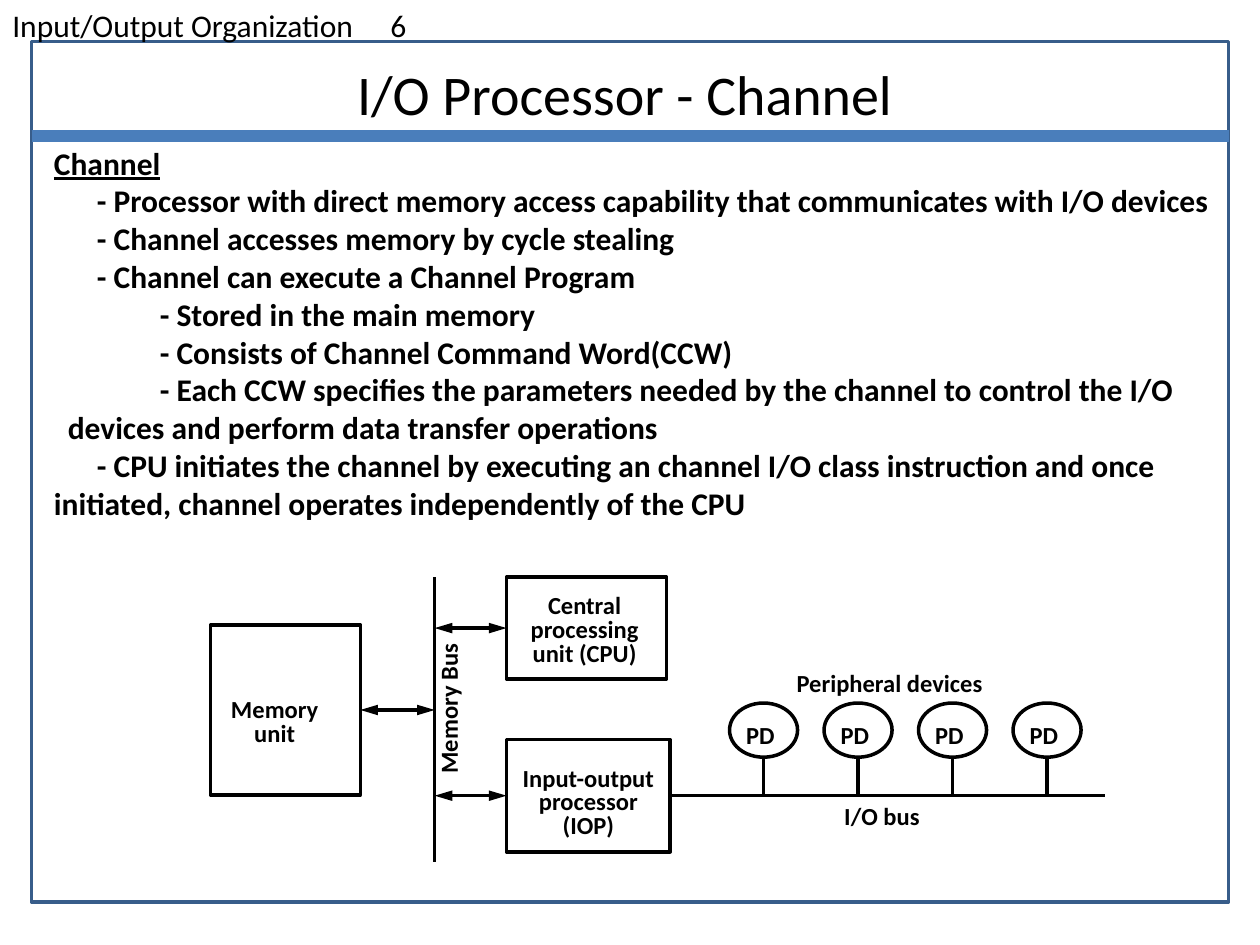
from typing import NamedTuple

from pptx import Presentation
from pptx.dml.color import RGBColor
from pptx.enum.shapes import MSO_CONNECTOR as Connector, MSO_SHAPE as Shape
from pptx.enum.text import MSO_ANCHOR as Anchor, MSO_AUTO_SIZE as AutoSize, PP_ALIGN as Align
from pptx.oxml.ns import qn
from pptx.util import Inches, Pt
from lxml.etree import SubElement

BLACK = RGBColor(0x00, 0x00, 0x00)
FRAME_BLUE = RGBColor(0x38, 0x5D, 0x8A)
RULE_BLUE = RGBColor(0x4A, 0x7E, 0xBB)
FONT = "Calibri"


class Unit(NamedTuple):
    left: float
    top: float
    width: float
    height: float
    lines: tuple[str, ...]
    top_inset: float
    right_inset: float


class Label(NamedTuple):
    left: float
    top: float
    width: float
    text: str
    rotation: int = 0


class Point(NamedTuple):
    text: str
    margin: float = 0
    indent: float = 0
    underline: bool = False


MEMORY = Unit(1.67, 4.96, 1.19, 1.35, ("Memory", "unit"), 0.21, 0.17)
CPU = Unit(4.02, 4.58, 1.27, 0.81, ("Central", "processing", "unit (CPU)"), 0.05, 0.03)
IOP = Unit(4.02, 5.87, 1.30, 0.89, ("Input-output", "processor", "(IOP)"), 0.13, 0)

LABELS = (
    Label(6.22, 5.25, 1.68, "Peripheral devices"),
    Label(6.60, 6.31, 0.80, "I/O bus"),
    Label(2.94, 5.46, 1.23, "Memory Bus", 270),
)

DASH = {"indent": 0.34}
SUB_DASH = {"margin": 0.11, "indent": 0.73}
POINTS = (
    Point("Channel", underline=True),
    Point("- Processor with direct memory access capability that communicates with I/O devices", **DASH),
    Point("- Channel accesses memory by cycle stealing", **DASH),
    Point("- Channel can execute a Channel Program", **DASH),
    Point("- Stored in the main memory", **SUB_DASH),
    Point("- Consists of Channel Command Word(CCW)", **SUB_DASH),
    Point("- Each CCW specifies the parameters needed by the channel to control the I/O "
          "devices and perform data transfer operations", **SUB_DASH),
    Point("- CPU initiates the channel by executing an channel I/O class instruction and once "
          "initiated, channel operates independently of the CPU", **DASH),
)

MEMORY_BUS_X = 3.45
IO_BUS_Y = 6.32
DEVICE_COUNT = 4
DEVICE_LEFT, DEVICE_TOP, DEVICE_PITCH = 5.79, 5.58, 0.75
DEVICE_WIDTH, DEVICE_HEIGHT = 0.54, 0.43


def write(frame, text: str, *, size: float = 14, bold: bool = True, underline: bool = False,
          align=Align.LEFT, spacing: float | None = None, margin: float = 0,
          indent: float = 0, tab: float | None = None) -> None:
    first = frame.paragraphs[0]
    paragraph = frame.add_paragraph() if first.runs else first
    properties = paragraph._p.get_or_add_pPr()
    properties.set("marL", str(Inches(margin)))
    properties.set("indent", str(Inches(indent)))
    if tab is not None:
        stops = SubElement(properties, qn("a:tabLst"))
        SubElement(stops, qn("a:tab"), pos=str(Inches(tab)), algn="l")
    paragraph.alignment = align
    if spacing is not None:
        paragraph.line_spacing = Pt(spacing)
    run = paragraph.add_run()
    run.text = text
    run.font.name = FONT
    run.font.size = Pt(size)
    run.font.bold = bold
    run.font.underline = underline
    run.font.color.rgb = BLACK


def add_text_box(slide, left: float, top: float, width: float, height: float, wrap: bool = True):
    box = slide.shapes.add_textbox(Inches(left), Inches(top), Inches(width), Inches(height))
    box.text_frame.word_wrap = wrap
    return box


def add_outline(slide, kind, left: float, top: float, width: float, height: float,
                color: RGBColor = BLACK):
    outline = slide.shapes.add_shape(kind, Inches(left), Inches(top), Inches(width), Inches(height))
    outline.shadow.inherit = False
    outline.fill.background()
    outline.line.color.rgb = color
    outline.line.width = Pt(2)
    return outline


def set_insets(frame, top: float, right: float) -> None:
    frame.margin_left = frame.margin_bottom = 0
    frame.margin_top, frame.margin_right = Inches(top), Inches(right)
    frame.vertical_anchor = Anchor.MIDDLE
    frame.word_wrap = False


def add_unit(slide, unit: Unit):
    block = add_outline(slide, Shape.RECTANGLE, *unit[:4])
    set_insets(block.text_frame, unit.top_inset, unit.right_inset)
    for line in unit.lines:
        write(block.text_frame, line, align=Align.CENTER, spacing=13.7)
    return block


def add_line(slide, x1: float, y1: float, x2: float, y2: float, *, color: RGBColor = BLACK,
             width: float = 2, arrows: bool = False):
    line = slide.shapes.add_connector(Connector.STRAIGHT, Inches(x1), Inches(y1), Inches(x2), Inches(y2))
    line.line.color.rgb = color
    line.line.width = Pt(width)
    if arrows:
        outline = line.line._get_or_add_ln()
        for end in ("a:headEnd", "a:tailEnd"):
            SubElement(outline, qn(end), type="triangle", w="med", len="lg")
    SubElement(line._element.spPr, qn("a:effectLst"))
    return line


def add_bus_link(slide, unit: Unit, block, side: int) -> None:
    middle = unit.top + unit.height / 2
    edge = unit.left if side == 1 else unit.left + unit.width
    link = add_line(slide, MEMORY_BUS_X, middle, edge, middle, arrows=True)
    link.end_connect(block, side)


def add_device(slide, left: float) -> None:
    device = add_outline(slide, Shape.OVAL, left, DEVICE_TOP, DEVICE_WIDTH, DEVICE_HEIGHT)
    set_insets(device.text_frame, 0.07, 0.05)
    write(device.text_frame, "PD", align=Align.CENTER)
    center = left + DEVICE_WIDTH / 2
    add_line(slide, center, DEVICE_TOP + DEVICE_HEIGHT, center, IO_BUS_Y)


def add_title(slide) -> None:
    title = slide.shapes.title
    title.left, title.top = Inches(0.75), Inches(0.42)
    title.width, title.height = Inches(8.42), Inches(0.64)
    title.text_frame.auto_size = AutoSize.NONE
    write(title.text_frame, "I/O Processor - Channel", size=32, bold=False, align=Align.CENTER)


def add_diagram(slide) -> None:
    add_line(slide, MEMORY_BUS_X, 4.58, MEMORY_BUS_X, 6.84)
    for unit, side in ((MEMORY, 3), (CPU, 1), (IOP, 1)):
        block = add_unit(slide, unit)
        add_bus_link(slide, unit, block, side)
        if unit is IOP:
            io_bus = add_line(slide, IOP.left + IOP.width, IO_BUS_Y, 8.77, IO_BUS_Y)
            io_bus.begin_connect(block, 3)
            io_bus.end_y = io_bus.begin_y
    for index in range(DEVICE_COUNT):
        add_device(slide, DEVICE_LEFT + index * DEVICE_PITCH)
    for label in LABELS:
        box = add_text_box(slide, label.left, label.top, label.width, 0.33, wrap=False)
        box.rotation = label.rotation
        write(box.text_frame, label.text, align=Align.CENTER)


def main() -> None:
    deck = Presentation()
    deck.slide_width, deck.slide_height = Inches(10), Inches(7.5)
    slide = deck.slides.add_slide(deck.slide_layouts[5])
    add_outline(slide, Shape.RECTANGLE, 0.25, 0.33, 9.5, 6.83, FRAME_BLUE)
    header = add_text_box(slide, 0, 0, 10, 0.41)
    write(header.text_frame, "Input/Output Organization\t6", size=18, bold=False, tab=4.84)
    add_line(slide, 0.25, 1.08, 9.75, 1.08, color=RULE_BLUE, width=6.75)
    add_title(slide)
    body = add_text_box(slide, 0.33, 1.09, 9.42, 3.4)
    for point in POINTS:
        write(body.text_frame, point.text, size=18, underline=point.underline,
              margin=point.margin, indent=point.indent)
    add_diagram(slide)
    deck.save("out.pptx")


if __name__ == "__main__":
    main()
